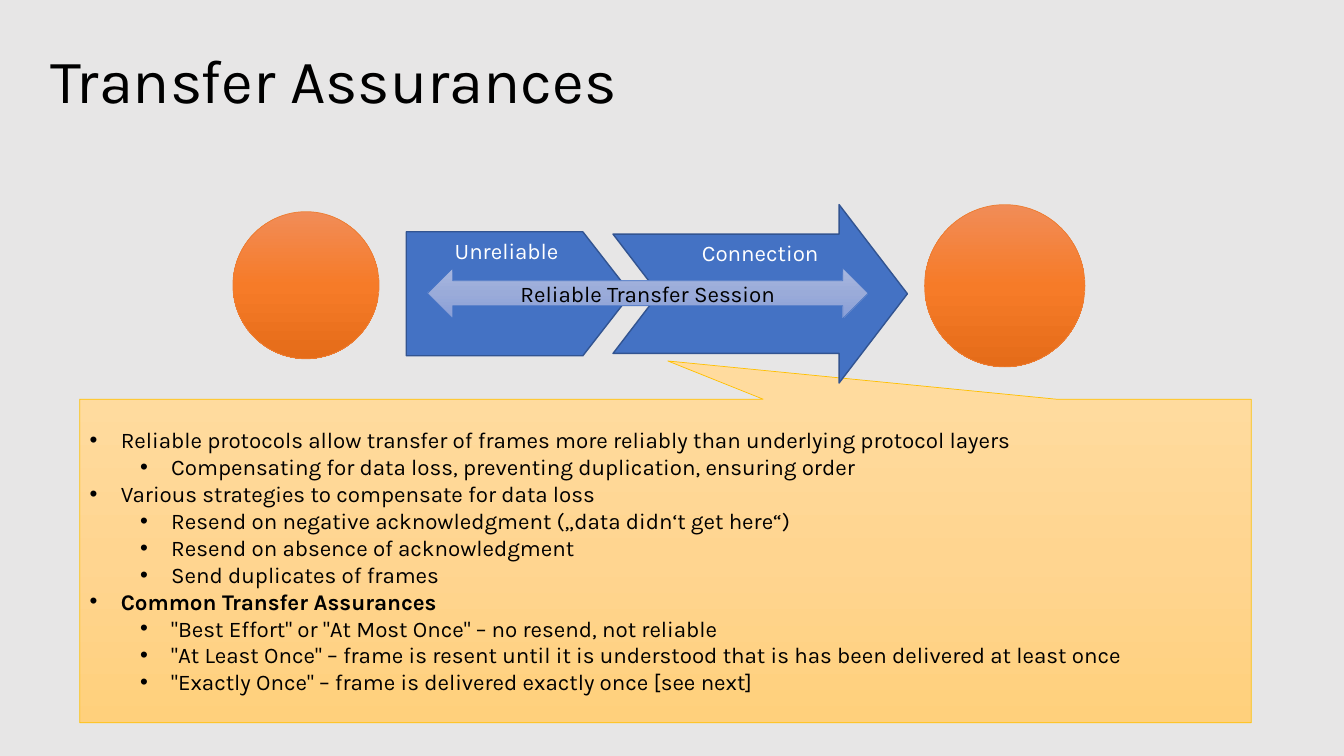
from copy import deepcopy
from dataclasses import dataclass

from lxml import etree
from pptx import Presentation
from pptx.dml.color import RGBColor
from pptx.enum.shapes import MSO_SHAPE
from pptx.enum.text import MSO_ANCHOR, PP_ALIGN
from pptx.oxml.ns import qn
from pptx.util import Inches, Pt

OVAL = MSO_SHAPE.OVAL
PLATE = MSO_SHAPE.PENTAGON
NOTCHED = MSO_SHAPE.NOTCHED_RIGHT_ARROW
DOUBLE = MSO_SHAPE.LEFT_RIGHT_ARROW
CALLOUT = MSO_SHAPE.RECTANGULAR_CALLOUT
TOP, MIDDLE = MSO_ANCHOR.TOP, MSO_ANCHOR.MIDDLE
LEFT, CENTER = PP_ALIGN.LEFT, PP_ALIGN.CENTER


@dataclass(frozen=True)
class Theme:
    font: str = "Karla"
    title: int = 44
    body: int = 16
    back: str = "E7E6E6"
    dark: str = "000000"
    light: str = "FFFFFF"
    blue: tuple = ("4472C4",)
    edge: str = "325491"
    pale: tuple = ("A8B7DF", "9AABD9", "889ED7")
    orange: tuple = ("F18C57", "F67B28", "E56C19")
    rim: str = "ED7D31"
    gold: tuple = ("FFDB9E", "FFD590", "FFD07C")
    trim: str = "FFC000"


THEME = Theme()

POINTS = [
    (0, "Reliable protocols allow transfer of frames more reliably than underlying protocol layers"),
    (1, "Compensating for data loss, preventing duplication, ensuring order"),
    (0, "Various strategies to compensate for data loss"),
    (1, "Resend on negative acknowledgment („data didn‘t get here“)"),
    (1, "Resend on absence of acknowledgment"),
    (1, "Send duplicates of frames"),
    (0, "Common Transfer Assurances"),
    (1, '"Best Effort" or "At Most Once" – no resend, not reliable'),
    (1, '"At Least Once" – frame is resent until it is understood that is has been delivered at least once'),
    (1, '"Exactly Once" – frame is delivered exactly once [see next]'),
]
STRONG = "Common Transfer Assurances"


def rgb(code):
    return RGBColor.from_string(code)


def style(para, size, color, align, bold=False):
    para.alignment = align
    for run in para.runs:
        font = run.font
        font.name, font.size, font.bold = THEME.font, Pt(size), bold
        font.color.rgb = rgb(color)


def paint(fill, colors):
    if len(colors) == 1:
        fill.solid()
        fill.fore_color.rgb = rgb(colors[0])
        return
    fill.gradient()
    fill.gradient_angle = 270
    first = fill.gradient_stops[0]._gs
    first.addnext(deepcopy(first))
    for i, (stop, color) in enumerate(zip(fill.gradient_stops, colors)):
        stop.color.rgb = rgb(color)
        stop.position = i / (len(colors) - 1)


def draw(slide, kind, box, colors, edge, width=0.5, adjust=()):
    shape = slide.shapes.add_shape(kind, *map(Inches, box))
    shape.shadow.inherit = False
    paint(shape.fill, colors)
    shape.line.color.rgb = rgb(edge)
    shape.line.width = Pt(width)
    for i, value in enumerate(adjust):
        shape.adjustments[i] = value
    return shape


def label(shape, text, color, anchor):
    frame = shape.text_frame
    frame.text = text
    frame.vertical_anchor = anchor
    style(frame.paragraphs[0], THEME.body, color, CENTER)


def bullet(para, level):
    props = para._p.get_or_add_pPr()
    props.set("marL", str(Inches(0.31 + level * 0.5)))
    props.set("indent", str(Inches(-0.31)))
    etree.SubElement(props, qn("a:buFont")).set("typeface", "Arial")
    etree.SubElement(props, qn("a:buChar")).set("char", "•")


def heading(slide, box):
    title = slide.shapes.title
    title.left, title.top, title.width, title.height = map(Inches, box)
    frame = title.text_frame
    frame.text = "Transfer Assurances"
    frame.margin_left = frame.margin_right = 0
    frame.margin_top = frame.margin_bottom = 0
    frame.vertical_anchor = TOP
    para = frame.paragraphs[0]
    para.line_spacing = 0.9
    style(para, THEME.title, THEME.dark, LEFT)


def nodes(slide, box):
    x, y, w, h = box
    for spot in ((x, y + 0.07, 1.45, 1.46), (x + w - 1.59, y, 1.59, h)):
        draw(slide, OVAL, spot, THEME.orange, THEME.rim)


def notes(slide, box):
    shape = draw(slide, CALLOUT, box, THEME.gold, THEME.trim, adjust=(0.002, -0.618))
    frame = shape.text_frame
    frame.word_wrap = True
    frame.vertical_anchor = MIDDLE
    frame.text = "\n".join(text for _, text in POINTS)
    for para, (level, text) in zip(frame.paragraphs, POINTS):
        para.level = level
        bullet(para, level)
        style(para, THEME.body, THEME.dark, LEFT, text == STRONG)


def channel(slide, box):
    x, y, w, h = box
    plate = draw(slide, PLATE, (x, y + 0.27, 2.23, 1.23), THEME.blue, THEME.edge, 1, (0.389,))
    label(plate, "Unreliable", THEME.light, TOP)
    arrow = draw(slide, NOTCHED, (x + w - 2.92, y, 2.92, h), THEME.blue, THEME.edge, 1, (0.669, 0.383))
    label(arrow, "Connection", THEME.light, TOP)
    session = draw(slide, DOUBLE, (x + 0.21, y + 0.63, 4.37, 0.5), THEME.pale, THEME.blue[0])
    label(session, "Reliable Transfer Session", THEME.dark, MIDDLE)


def main():
    deck = Presentation()
    deck.slide_width, deck.slide_height = Inches(13.33), Inches(7.5)
    slide = deck.slides.add_slide(deck.slide_layouts[5])
    paint(slide.background.fill, (THEME.back,))
    heading(slide, (0.5, 0.5, 12.33, 0.78))
    nodes(slide, (2.31, 2.03, 8.45, 1.61))
    notes(slide, (0.79, 3.96, 11.62, 3.21))
    channel(slide, (4.03, 2.03, 4.97, 1.77))
    deck.save("out.pptx")


if __name__ == "__main__":
    main()
